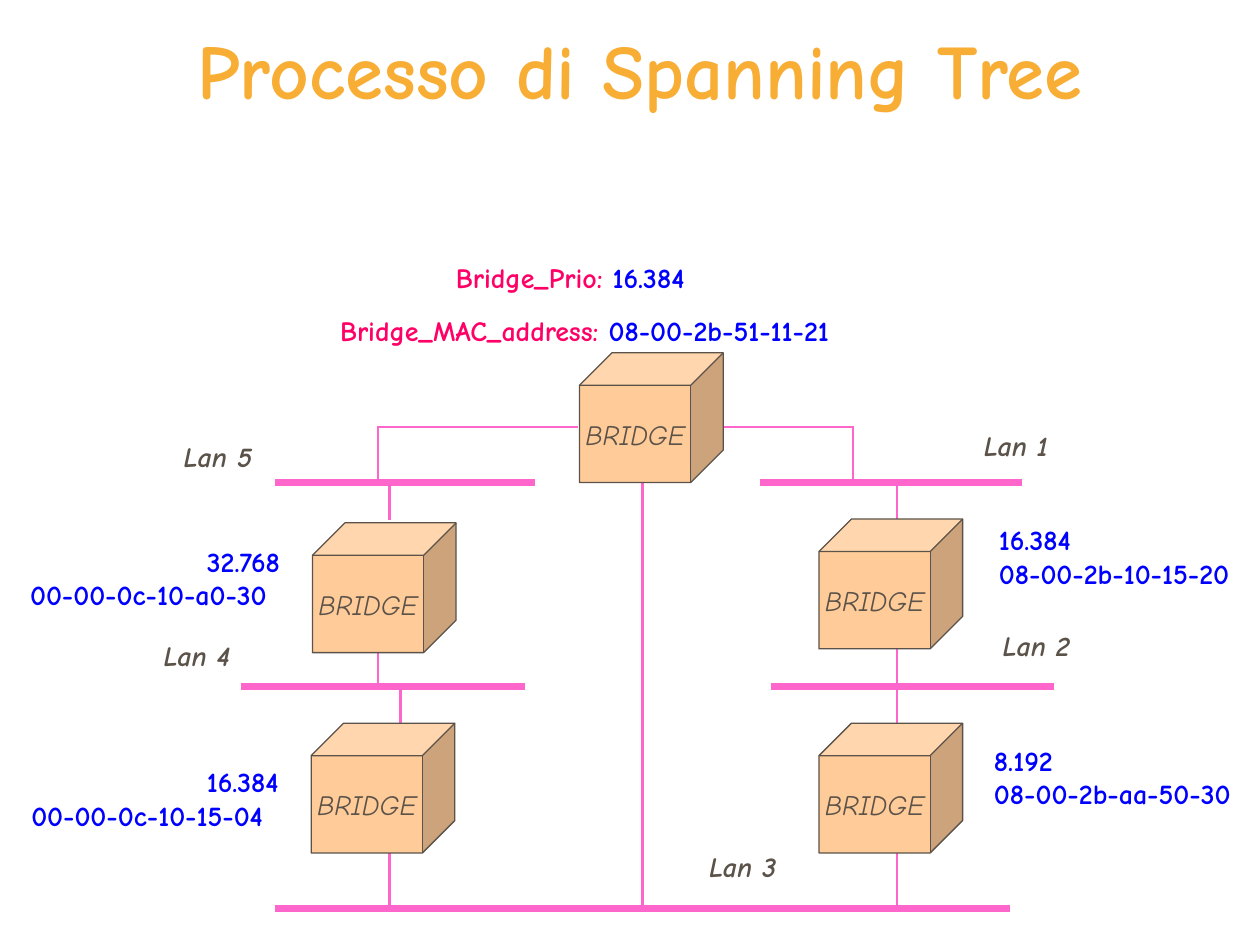
"""Build the spanning tree slide: five bridges joined by five LANs."""
from lxml import etree
from pptx import Presentation
from pptx.dml.color import RGBColor
from pptx.enum.shapes import MSO_CONNECTOR, MSO_SHAPE
from pptx.enum.text import MSO_ANCHOR, PP_ALIGN
from pptx.oxml.ns import qn
from pptx.util import Inches, Pt

THEME = {
    "title": {"size": Pt(44), "bold": True, "color": "F8AD34"},
    "bridge": {"size": Pt(16), "italic": True, "color": "5B5249"},
    "lan": {"size": Pt(16), "bold": True, "italic": True, "color": "5B5249"},
    "field": {"size": Pt(16), "bold": True, "color": "FF0066"},
    "value": {"size": Pt(16), "bold": True, "color": "0000FF"},
    "font": "Comic Neue",
    "cube_fill": "FFCC99",
    "cube_line": "5B5249",
    "network": "FF66CC",
    "bus_width": Pt(4),
    "link_width": Pt(1.5),
}


def add_run(paragraph, text, style):
    """Append a run in one of the theme's text styles."""
    run = paragraph.add_run()
    run.text = text
    run.font.name = THEME["font"]
    for name, value in THEME[style].items():
        if name == "color":
            run.font.color.rgb = RGBColor.from_string(value)
        else:
            setattr(run.font, name, value)


def add_text(slide, box, paragraphs):
    """Add a text box; each paragraph is an alignment and its styled runs."""
    frame = slide.shapes.add_textbox(*map(Inches, box)).text_frame
    frame.word_wrap = True
    for index, (alignment, runs) in enumerate(paragraphs):
        paragraph = frame.add_paragraph() if index else frame.paragraphs[0]
        paragraph.alignment = alignment
        for text, style in runs:
            add_run(paragraph, text, style)
    return frame


presentation = Presentation()
presentation.slide_width = Inches(10)
presentation.slide_height = Inches(7.5)
slide = presentation.slides.add_slide(presentation.slide_layouts[6])

title = add_text(slide, (0.83, 0.13, 8.5, 0.83),
                 [(PP_ALIGN.CENTER, [("Processo di Spanning Tree", "title")])])
title.vertical_anchor = MSO_ANCHOR.MIDDLE

upper, middle, lower = 3.83, 5.45, 7.21
root_port = 3.39
buses = [
    (2.21, upper, 4.22, upper),
    (6.06, upper, 8.08, upper),
    (1.94, middle, 4.14, middle),
    (6.15, middle, 8.34, middle),
    (2.21, lower, 7.99, lower),
]
links = [
    (3, root_port, 4.58, root_port),
    (5.71, root_port, 6.77, root_port),
    (3, root_port, 3, upper),
    (6.77, root_port, 6.77, upper),
    (5.1, upper, 5.1, lower),
    (3.09, upper, 3.09, 4.12),
    (7.12, upper, 7.12, 4.12),
    (3, 5.15, 3, middle),
    (7.12, 5.15, 7.12, middle),
    (3.18, middle, 3.18, 5.74),
    (7.12, middle, 7.12, 5.74),
    (3.09, 6.77, 3.09, lower),
    (7.12, 6.77, 7.12, lower),
]
for segments, width in ((buses, "bus_width"), (links, "link_width")):
    for segment in segments:
        connector = slide.shapes.add_connector(MSO_CONNECTOR.STRAIGHT, *map(Inches, segment))
        connector.line.color.rgb = RGBColor.from_string(THEME["network"])
        connector.line.width = THEME[width]
        properties = connector._element.spPr
        properties.find(qn("a:ln")).set("cap", "sq")
        etree.SubElement(properties, qn("a:effectLst"))

bridges = [(4.6, 2.8), (2.48, 4.15), (6.5, 4.12), (2.47, 5.74), (6.5, 5.74)]
for left, top in bridges:
    cube = slide.shapes.add_shape(MSO_SHAPE.CUBE, *map(Inches, (left, top, 1.14, 1.03)))
    cube.shadow.inherit = False
    cube.fill.solid()
    cube.fill.fore_color.rgb = RGBColor.from_string(THEME["cube_fill"])
    cube.line.color.rgb = RGBColor.from_string(THEME["cube_line"])
    cube.line.width = Pt(0.75)
    cube.text_frame.word_wrap = False
    cube.text_frame.vertical_anchor = MSO_ANCHOR.MIDDLE
    paragraph = cube.text_frame.paragraphs[0]
    paragraph.alignment = PP_ALIGN.CENTER
    add_run(paragraph, "BRIDGE", "bridge")

lan_positions = [(7.71, 3.35), (7.86, 4.94), (5.53, 6.69), (1.2, 5.02), (1.36, 3.44)]
for number, (left, top) in enumerate(lan_positions, start=1):
    add_text(slide, (left, top, 0.8, 0.37), [(PP_ALIGN.LEFT, [(f"Lan {number}", "lan")])])

root_fields = [
    ((3.52, 2.02, 2.1, 0.37), "Bridge_Prio: ", "16.384"),
    ((2.6, 2.44, 4.15, 0.37), "Bridge_MAC_address: ", "08-00-2b-51-11-21"),
]
for box, field, value in root_fields:
    add_text(slide, box, [(PP_ALIGN.LEFT, [(field, "field"), (value, "value")])])

identifiers = [
    ((7.83, 4.1, 2.1, 0.64), PP_ALIGN.LEFT, "16.384", "08-00-2b-10-15-20"),
    ((7.79, 5.85, 2.15, 0.64), PP_ALIGN.LEFT, "8.192", "08-00-2b-aa-50-30"),
    ((0.15, 6.02, 2.16, 0.64), PP_ALIGN.RIGHT, "16.384", "00-00-0c-10-15-04"),
    ((0.14, 4.27, 2.18, 0.64), PP_ALIGN.RIGHT, "32.768", "00-00-0c-10-a0-30"),
]
for box, alignment, priority, address in identifiers:
    add_text(slide, box, [(alignment, [(priority, "value")]),
                          (PP_ALIGN.LEFT, [(address, "value")])])

presentation.save("out.pptx")
